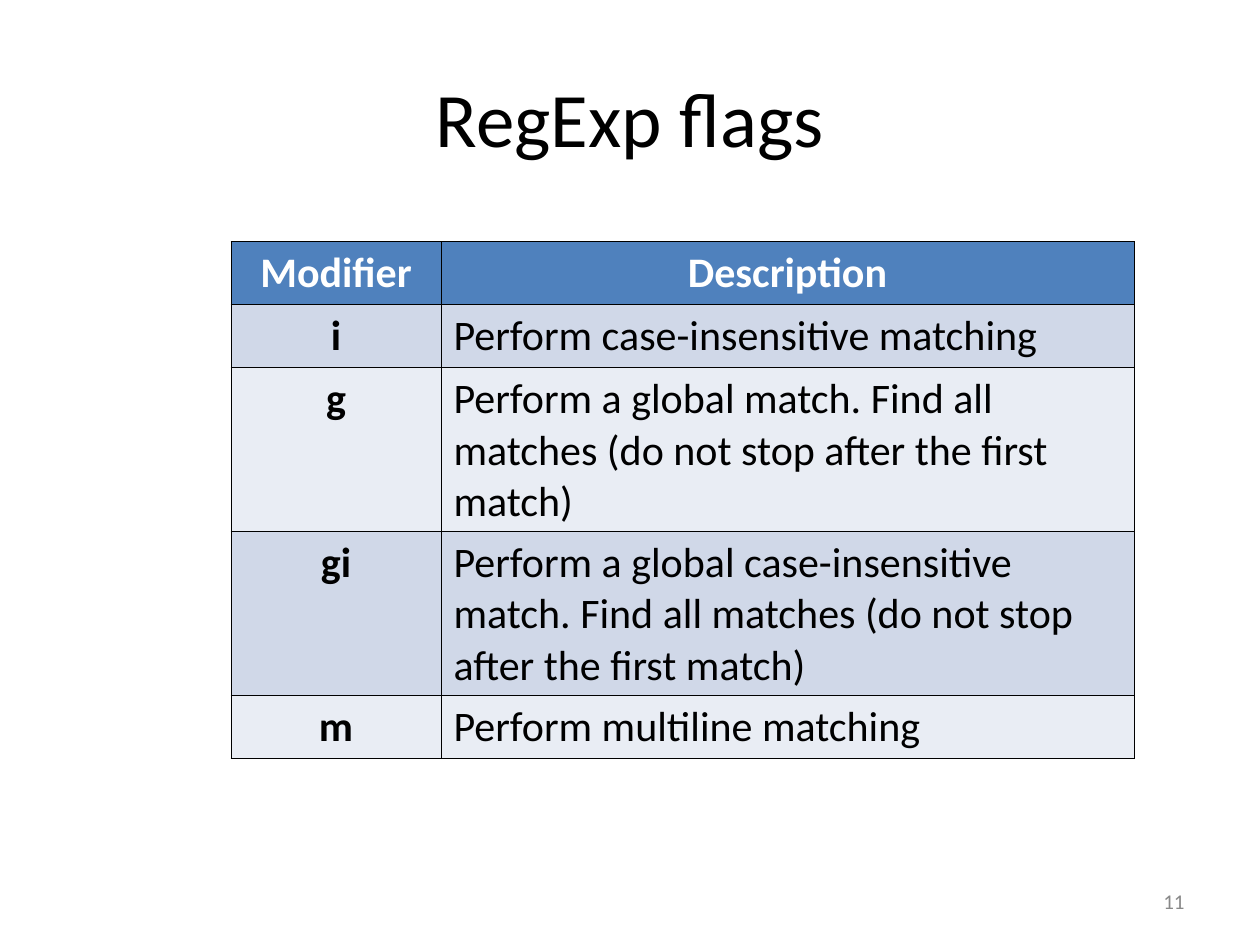
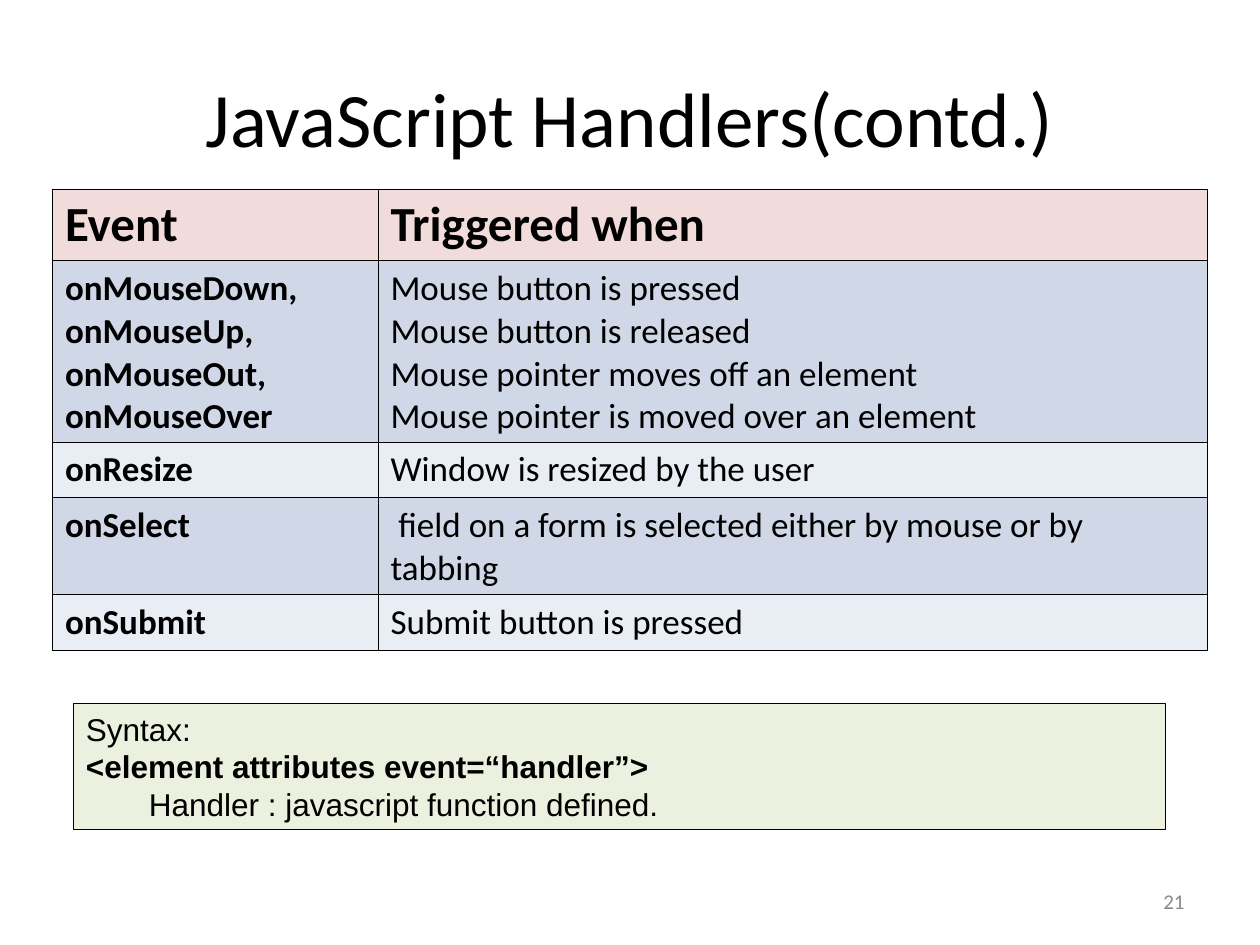
from lxml.etree import SubElement
from pptx import Presentation
from pptx.dml.color import RGBColor
from pptx.enum.shapes import MSO_SHAPE
from pptx.enum.text import MSO_ANCHOR, PP_ALIGN
from pptx.oxml import parse_xml
from pptx.oxml.ns import nsdecls
from pptx.util import Pt

BLACK = RGBColor(0x00, 0x00, 0x00)
WHITE = RGBColor(0xFF, 0xFF, 0xFF)
GREY = RGBColor(0x89, 0x89, 0x89)
BLUE = RGBColor(0x4F, 0x81, 0xBD)
PINK = RGBColor(0xF2, 0xDC, 0xDB)
GREEN = RGBColor(0xEB, 0xF1, 0xDE)
BANDS = (RGBColor(0xD0, 0xD8, 0xE8), RGBColor(0xE9, 0xED, 0xF4))
BODY_FONT, SYNTAX_FONT = "Calibri", "Arial"
BORDER_WIDTH = Pt(0.45)

TITLE_BOX = (36, 21.6, 648, 90)
NUMBER_BOX = (516, 500.4, 168, 28.8)

FLAGS = [
    ("Modifier", "Description"),
    ("i", "Perform case-insensitive matching"),
    ("g", "Perform a global match. Find all matches (do not stop after the first match)"),
    ("gi", "Perform a global case-insensitive match. Find all matches "
           "(do not stop after the first match)"),
    ("m", "Perform multiline matching"),
]
HANDLERS = [
    ("Event", "Triggered when"),
    ("onMouseDown, onMouseUp, onMouseOut, onMouseOver",
     "Mouse button is pressed\nMouse button is released\n"
     "Mouse pointer moves off an element\nMouse pointer is moved over an element"),
    ("onResize", "Window is resized by the user"),
    ("onSelect", " field on a form is selected either by mouse or by tabbing"),
    ("onSubmit", "Submit button is pressed"),
]
SYNTAX = ("Syntax:", "<element attributes event=“handler”>",
          "Handler : javascript function defined.")


def in_points(box):
    """Turn a box of plain numbers into lengths."""
    return [Pt(length) for length in box]


def style(frame, size, color=BLACK, font=BODY_FONT, bold=False, align=PP_ALIGN.LEFT):
    """Format every paragraph of a text frame alike."""
    for paragraph in frame.paragraphs:
        paragraph.alignment = align
        for run in paragraph.runs:
            run.font.name, run.font.size = font, Pt(size)
            run.font.bold, run.font.color.rgb = bold, color


def add_page(deck, heading, number):
    """Add a slide with its title and page number."""
    slide = deck.slides.add_slide(deck.slide_layouts[5])
    title = slide.shapes.title
    title.left, title.top, title.width, title.height = in_points(TITLE_BOX)
    title.text_frame.text = heading
    title.text_frame.vertical_anchor = MSO_ANCHOR.MIDDLE
    style(title.text_frame, 44, align=PP_ALIGN.CENTER)
    page = slide.shapes.add_textbox(*in_points(NUMBER_BOX)).text_frame
    page.word_wrap = True
    page.vertical_anchor = MSO_ANCHOR.MIDDLE
    page.text = str(number)
    style(page, 12, GREY, align=PP_ALIGN.RIGHT)
    return slide


def add_borders(cell):
    """Draw a thin black line on all four sides of a cell."""
    properties = cell._tc.get_or_add_tcPr()
    for position, side in enumerate(("lnL", "lnR", "lnT", "lnB")):
        line = parse_xml(f'<a:{side} {nsdecls("a")} w="{BORDER_WIDTH}"><a:solidFill>'
                         f'<a:srgbClr val="{BLACK}"/></a:solidFill></a:{side}>')
        properties.insert(position, line)


def add_grid(slide, box, entries, widths, heights, header, size, key_align):
    """Add a banded table; header holds fill, text colour, size and alignment."""
    header_fill, header_color, header_size, header_align = header
    frame = slide.shapes.add_table(len(entries), len(widths), *in_points(box))
    table = frame.table
    for column, width in zip(table.columns, widths):
        column.width = Pt(width)
    for row, height in zip(table.rows, heights):
        row.height = Pt(height)
    for r, entry in enumerate(entries):
        for c, words in enumerate(entry):
            cell = table.cell(r, c)
            cell.text_frame.text = words
            cell.fill.solid()
            if r == 0:
                cell.fill.fore_color.rgb = header_fill
                style(cell.text_frame, header_size, header_color, bold=True,
                      align=header_align)
            else:
                cell.fill.fore_color.rgb = BANDS[(r - 1) % 2]
                style(cell.text_frame, size, bold=c == 0,
                      align=key_align if c == 0 else PP_ALIGN.LEFT)
            add_borders(cell)


def add_syntax(slide, box):
    """Add the framed note on handler syntax."""
    note = slide.shapes.add_shape(MSO_SHAPE.RECTANGLE, *in_points(box))
    note.shadow.inherit = False
    note.fill.solid()
    note.fill.fore_color.rgb = GREEN
    note.line.color.rgb = BLACK
    note.line.width = Pt(0.75)
    frame = note.text_frame
    frame.word_wrap = True
    frame.vertical_anchor = MSO_ANCHOR.TOP
    frame.text = "\n".join(SYNTAX)
    style(frame, 18, font=SYNTAX_FONT)
    _, element, handler = frame.paragraphs
    element.runs[0].font.bold = True
    handler._p.get_or_add_pPr().set("marL", str(Pt(36)))


def build_flags(deck):
    """Build the slide on regular expression flags."""
    slide = add_page(deck, "RegExp flags", 11)
    add_grid(slide, (132, 138, 516, 259.2), FLAGS, (120, 396),
             (28.8, 28.8, 86.4, 86.4, 28.8), (BLUE, WHITE, 24, PP_ALIGN.CENTER),
             24, PP_ALIGN.CENTER)


def build_handlers(deck):
    """Build the slide on event handlers."""
    slide = add_page(deck, "JavaScript Handlers(contd.)", 21)
    add_grid(slide, (30, 108, 660, 263.5), HANDLERS, (186, 474),
             (41, 103.7, 31.7, 55.4, 31.7), (PINK, BLACK, 28, PP_ALIGN.LEFT),
             20, PP_ALIGN.LEFT)
    add_syntax(slide, (42, 402, 624, 72))


def main():
    """Build and save the deck."""
    deck = Presentation()
    deck.slide_width, deck.slide_height = Pt(720), Pt(540)
    build_flags(deck)
    build_handlers(deck)
    deck.save("out.pptx")


if __name__ == "__main__":
    main()
